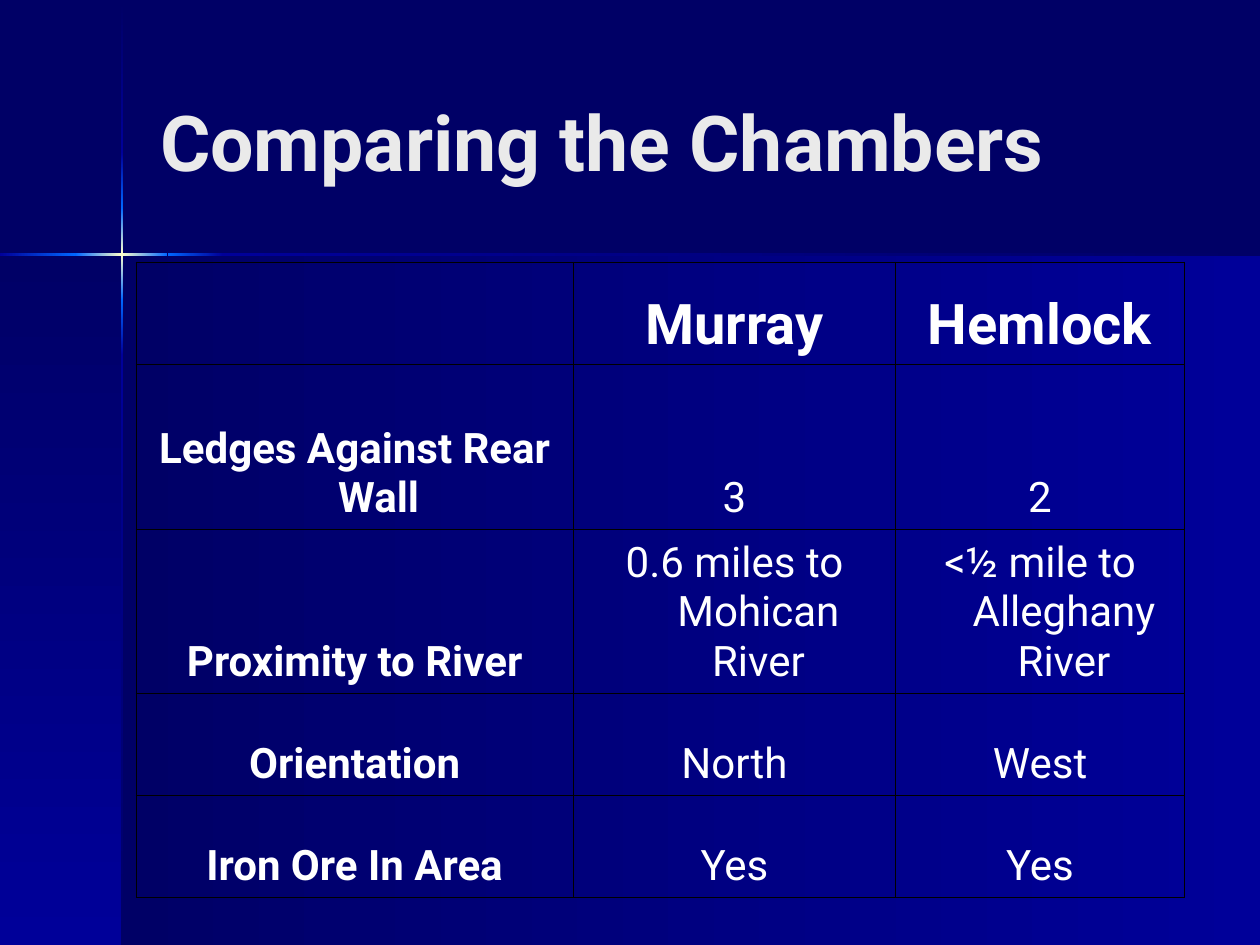
from copy import deepcopy
from itertools import pairwise

from pptx import Presentation
from pptx import util as u
from pptx.dml.color import RGBColor
from pptx.enum import shapes, text
from pptx.oxml import parse_xml
from pptx.oxml.ns import nsdecls, qn

NAVY = RGBColor(0x00, 0x00, 0x66)
BLUE = RGBColor(0x00, 0x00, 0x99)
BRIGHT = RGBColor(0x00, 0x66, 0xFF)
GLOW = RGBColor(0xFF, 0xFF, 0xCC)
PALE = RGBColor(0xEA, 0xEA, 0xEA)
WHITE = RGBColor(0xFF, 0xFF, 0xFF)
FONT = "Roboto"

TITLE = "Comparing the Chambers"
COMPARISON = [
    ("", "Murray", "Hemlock"),
    ("Ledges Against Rear Wall", "3", "2"),
    ("Proximity to River", "0.6 miles to Mohican River", "<½ mile to Alleghany River"),
    ("Orientation", "North", "West"),
    ("Iron Ore In Area", "Yes", "Yes"),
]
COLUMN_WIDTHS = [3.47, 2.56, 2.29]
ROW_HEIGHTS = [0.81, 1.31, 1.3, 0.81, 0.81]

WIDTH, HEIGHT = 10, 7.5
CROSS_X, CROSS_Y, BEAM = 0.97, 2.02, 0.02
RIGHTWARD, DOWNWARD = 0, 270
BEAM_COLOURS = [(NAVY, BLUE), (BLUE, BRIGHT), (BRIGHT, GLOW, BRIGHT),
                (BRIGHT, BLUE), (BLUE, NAVY)]
VERTICAL_EDGES = [0.01, 1.21, 1.65, 2.38, 2.82, HEIGHT]
HORIZONTAL_EDGES = [0, 0.6, 1.33, 1.77, WIDTH]


def add_panel(slide, left, top, width, height, colours, angle):
    panel = slide.shapes.add_shape(
        shapes.MSO_SHAPE.RECTANGLE,
        *(u.Inches(v) for v in (left, top, width, height)))
    panel.shadow.inherit = False
    panel.line.fill.background()
    panel.fill.gradient()
    panel.fill.gradient_angle = angle
    stop_list = panel.element.spPr.find(".//" + qn("a:gsLst"))
    while len(stop_list) < len(colours):
        stop_list.append(deepcopy(stop_list[0]))
    for i, (stop, colour) in enumerate(zip(panel.fill.gradient_stops, colours)):
        stop.position = i / (len(colours) - 1)
        stop.color.rgb = colour


def write(paragraph, words, size, colour, bold):
    run = paragraph.add_run()
    run.text = words
    run.font.name = FONT
    run.font.size = u.Pt(size)
    run.font.bold = bold
    run.font.color.rgb = colour


def add_borders(cell):
    properties = cell._tc.get_or_add_tcPr()
    for side in ("lnL", "lnR", "lnT", "lnB"):
        properties.append(parse_xml(
            f'<a:{side} {nsdecls("a")} w="{u.Pt(0.45)}"><a:solidFill>'
            f'<a:srgbClr val="000000"/></a:solidFill></a:{side}>'))


def add_backdrop(slide):
    slide.background.fill.solid()
    slide.background.fill.fore_color.rgb = NAVY
    below = HEIGHT - CROSS_Y
    add_panel(slide, CROSS_X, CROSS_Y, WIDTH - CROSS_X, below, (NAVY, BLUE), RIGHTWARD)
    add_panel(slide, 0, CROSS_Y, CROSS_X, below, (NAVY, BLUE), DOWNWARD)
    for (start, end), colours in zip(pairwise(VERTICAL_EDGES), BEAM_COLOURS):
        add_panel(slide, CROSS_X - BEAM / 2, start, BEAM, end - start, colours, DOWNWARD)
    for (start, end), colours in zip(pairwise(HORIZONTAL_EDGES), BEAM_COLOURS[1:]):
        add_panel(slide, start, CROSS_Y - BEAM / 2, end - start, BEAM, colours, RIGHTWARD)


def add_title(slide):
    title = slide.shapes.title
    title.left, title.top, title.width, title.height = (
        u.Inches(v) for v in (1.17, 0.33, 8.25, 1.57))
    frame = title.text_frame
    frame.auto_size = text.MSO_AUTO_SIZE.NONE
    frame.vertical_anchor = text.MSO_ANCHOR.MIDDLE
    frame.paragraphs[0].alignment = text.PP_ALIGN.LEFT
    write(frame.paragraphs[0], TITLE, 44, PALE, True)


def add_comparison(slide):
    table = slide.shapes.add_table(
        len(ROW_HEIGHTS), len(COLUMN_WIDTHS), u.Inches(1.08), u.Inches(2.08),
        u.Inches(sum(COLUMN_WIDTHS)), u.Inches(sum(ROW_HEIGHTS))).table
    table.first_row = table.horz_banding = False
    for column, width in zip(table.columns, COLUMN_WIDTHS):
        column.width = u.Inches(width)
    for row, height in zip(table.rows, ROW_HEIGHTS):
        row.height = u.Inches(height)
    for r, entries in enumerate(COMPARISON):
        for c, entry in enumerate(entries):
            cell = table.cell(r, c)
            add_borders(cell)
            cell.fill.background()
            cell.vertical_anchor = text.MSO_ANCHOR.BOTTOM
            if not entry:
                continue
            paragraph = cell.text_frame.paragraphs[0]
            paragraph.alignment = text.PP_ALIGN.CENTER
            indents = paragraph._p.get_or_add_pPr()
            indents.set("marL", str(u.Inches(0.38)))
            indents.set("indent", str(u.Inches(-0.38)))
            write(paragraph, entry, 32 if r == 0 else 24, WHITE, r == 0 or c == 0)


def main():
    deck = Presentation()
    deck.slide_width, deck.slide_height = u.Inches(WIDTH), u.Inches(HEIGHT)
    slide = deck.slides.add_slide(deck.slide_layouts[5])
    add_backdrop(slide)
    add_title(slide)
    add_comparison(slide)
    deck.save("out.pptx")


if __name__ == "__main__":
    main()
